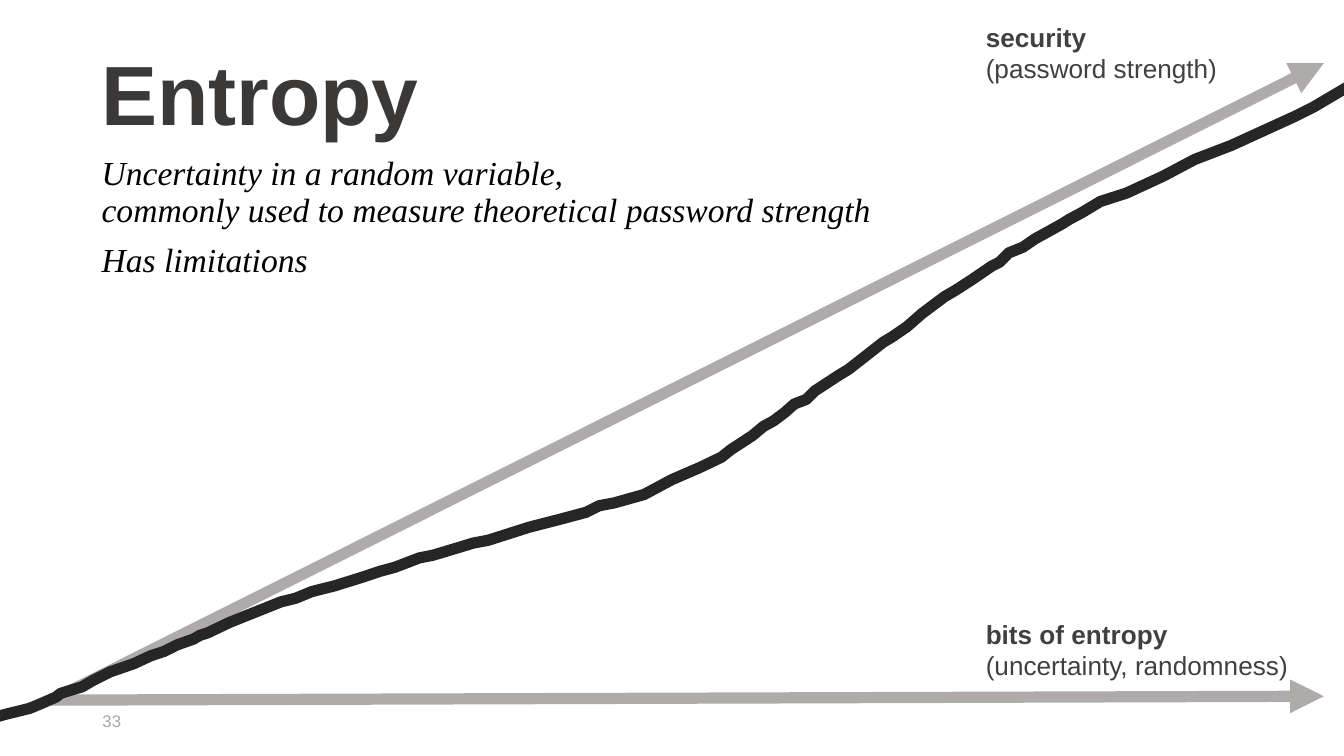
from lxml import etree
from pptx import Presentation
from pptx.dml.color import RGBColor
from pptx.enum import shapes, text
from pptx.oxml.ns import qn
from pptx.util import Pt

COLORS = {"title": "3B3838", "body": "000000", "number": "A6A6A6",
          "axis": "AFABAB", "curve": "262626", "label": "404040"}
LINE_WIDTH = 6
MARGINS = (5.4, 2.7)
LABEL_MARGINS = (7.2, 3.6)
LABEL_INDENT = 27

# Text: each paragraph is a list of lines
TITLE = [["Entropy"]]
BODY = [["Uncertainty in a random variable,",
         "commonly used to measure theoretical password strength"],
        ["Has limitations"]]
NUMBER = [["33"]]

# Axis labels: left, top, width, height, heading, explanation
LABELS = [
    (494, 8, 168, 41, "security", "(password strength)"),
    (494, 327.6, 215, 41, "bits of entropy", "(uncertainty, randomness)"),
]

# Arrows share one origin
ORIGIN = (27.4, 375.1)
ARROW_ENDS = [(709.2, 373), (709.2, 33.8)]

# Hand-drawn curve, running past both slide edges
CURVE = [
    (-161, 408), (-136, 409), (-109, 404), (-91, 401), (-74, 400), (-58, 397),
    (-39, 394), (-19, 389), (-8, 386), (2, 383), (16, 379.5), (22, 377),
    (30, 373.5), (32.5, 371.5), (44, 368), (50, 364.5), (59, 360), (72, 355.5),
    (80.5, 351.5), (88, 349), (95, 345.5), (103.5, 342.5), (107, 340.5),
    (111.5, 339), (123, 333.5), (138, 327.5), (150.5, 322.5), (158.5, 320.5),
    (167, 317), (179, 314), (193.5, 309.5), (204, 306), (211.5, 304),
    (224.5, 299), (232, 297.5), (247, 293), (253.5, 291), (261.5, 289.5),
    (283.5, 282.5), (301, 278), (314, 274.5), (321, 271), (329, 269.5),
    (345, 265), (360, 257), (375, 250.5), (386.5, 245), (391.5, 241),
    (403, 233.5), (409, 228.5), (414.5, 225.5), (420.5, 221), (425.5, 216.5),
    (432, 214), (436.5, 209.5), (449.5, 201), (454.5, 198), (463.5, 191),
    (473, 183.5), (478, 180.5), (486, 175), (494, 168), (506, 159),
    (512, 155.5), (520.5, 150), (531.5, 142.5), (535.5, 140.5), (540.5, 135.5),
    (548, 132.5), (554.5, 128), (569, 120), (573, 117.5), (579.5, 114),
    (589.5, 108), (603.5, 103.5), (623, 94.5), (631.5, 90), (640, 85.5),
    (659.5, 78), (693.5, 62.5), (703.5, 57.5), (712, 52.5), (723, 46),
    (738, 38), (754.5, 33), (772, 26), (783.5, 18.5), (800.5, 7),
    (811.5, 0.5), (826, -10), (834.5, -17.5), (849.5, -28), (851, -39),
]


def points(values):
    return [Pt(value) for value in values]


def add_text(page, place, paragraphs, size, color, font="Arial", bold=(False,),
             italic=False, anchor=text.MSO_ANCHOR.TOP, margins=MARGINS,
             spacing=None, gap=0, indent=0):
    """Add a text box; bold holds one value for each paragraph, or one for all."""
    box = page.shapes.add_textbox(*points(place))
    frame = box.text_frame
    frame.word_wrap = True
    frame.vertical_anchor = anchor
    frame.margin_left = frame.margin_right = Pt(margins[0])
    frame.margin_top = frame.margin_bottom = Pt(margins[1])
    for number, lines in enumerate(paragraphs):
        para = frame.add_paragraph() if number else frame.paragraphs[0]
        if number and gap:
            para.space_before = Pt(gap)
        if spacing:
            para.line_spacing = spacing
        if indent:
            para.level = 1
            properties = para._p.get_or_add_pPr()
            properties.set("marL", str(Pt(indent)))
            properties.set("indent", "0")
        for position, line in enumerate(lines):
            if position:
                para.add_line_break()
            span = para.add_run()
            span.text = line
            span.font.name = font
            span.font.size = Pt(size)
            span.font.bold = bold[number % len(bold)]
            span.font.italic = italic
            span.font.color.rgb = RGBColor.from_string(COLORS[color])


def style_line(shape, color, ending, **attributes):
    """Set colour and width, then add a join or arrowhead element."""
    shape.line.color.rgb = RGBColor.from_string(COLORS[color])
    shape.line.width = Pt(LINE_WIDTH)
    outline = shape.line._get_or_add_ln()
    etree.SubElement(outline, qn(ending), **attributes)


def add_arrow(page, start, end):
    arrow = page.shapes.add_connector(
        shapes.MSO_CONNECTOR.STRAIGHT, *points(start + end))
    style_line(arrow, "axis", "a:tailEnd", type="triangle")
    etree.SubElement(arrow._element.spPr, qn("a:effectLst"))


def add_curve(page):
    start, *rest = [points(point) for point in CURVE]
    builder = page.shapes.build_freeform(*start)
    builder.add_line_segments(rest, close=False)
    curve = builder.convert_to_shape()
    curve.shadow.inherit = False
    curve.fill.background()
    style_line(curve, "curve", "a:round")


def main():
    deck = Presentation()
    deck.slide_width, deck.slide_height = Pt(720), Pt(405)
    page = deck.slides.add_slide(deck.slide_layouts[6])

    # Title, definition and slide number
    add_text(page, (49, -88.6, 620.6, 168.5), TITLE, 45, "title", bold=(True,),
             anchor=text.MSO_ANCHOR.BOTTOM, spacing=0.9)
    add_text(page, (49, 81.4, 620.6, 88.6), BODY, 18, "body",
             font="Times New Roman", italic=True, spacing=0.9, gap=7.5)
    add_text(page, (49.5, 375.4, 162, 21.6), NUMBER, 9, "number",
             anchor=text.MSO_ANCHOR.MIDDLE)

    # Arrows and curve
    for end in ARROW_ENDS:
        add_arrow(page, ORIGIN, end)
    add_curve(page)

    # Axis labels
    for *place, heading, explanation in LABELS:
        add_text(page, place, [[heading], [explanation]], 14, "label",
                 bold=(True, False), margins=LABEL_MARGINS, indent=LABEL_INDENT)

    deck.save("out.pptx")


if __name__ == "__main__":
    main()
